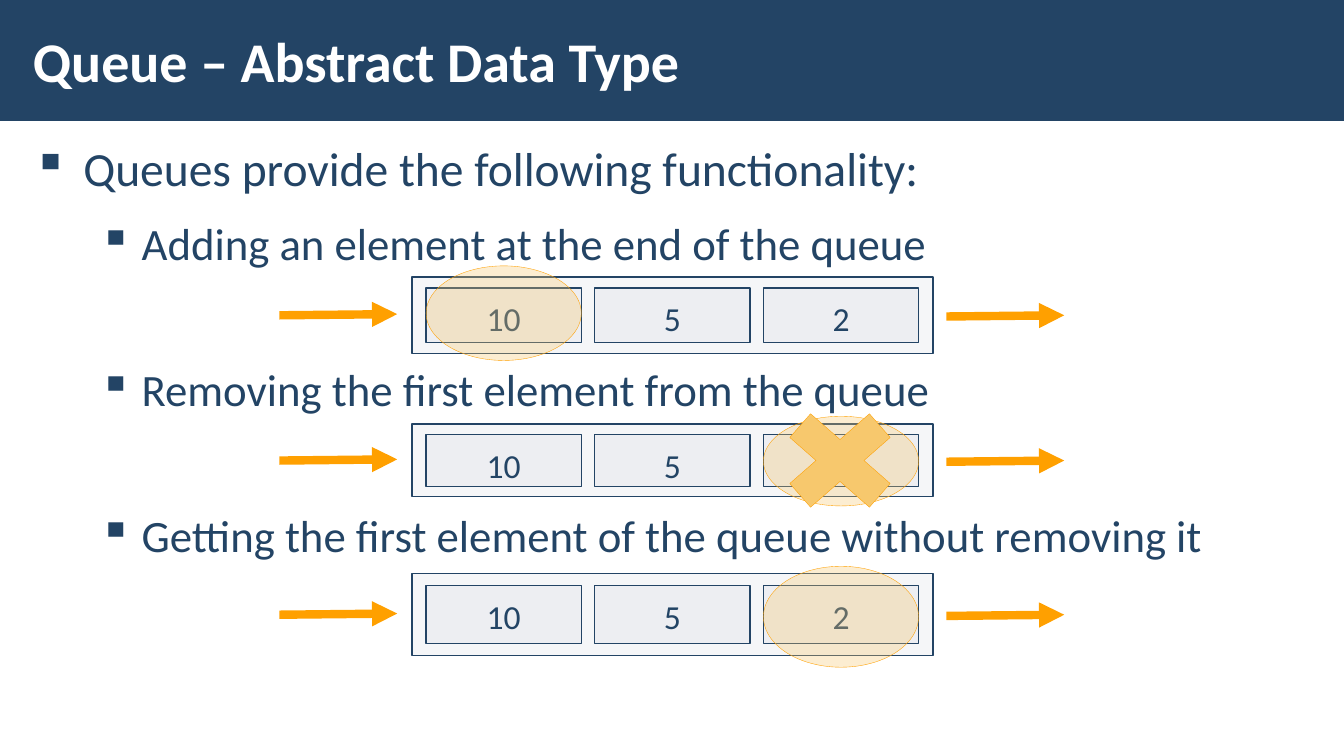
from dataclasses import dataclass
from typing import Optional

from lxml.etree import SubElement
from pptx import Presentation
from pptx.dml.color import RGBColor
from pptx.enum.shapes import MSO_CONNECTOR as Connector, MSO_SHAPE as Preset
from pptx.enum.text import MSO_ANCHOR as Anchor, PP_ALIGN as Align
from pptx.oxml.ns import qn
from pptx.util import Cm, Pt


@dataclass(frozen=True)
class Theme:
    font: str = "Calibri"
    navy: str = "234465"
    white: str = "FFFFFF"
    cell: str = "C2C7D2"
    amber: str = "FFA000"
    mark: str = "F7C86D"
    title_size: int = 40
    topic_size: int = 34
    point_size: int = 32
    cell_size: int = 24


@dataclass(frozen=True)
class Bullet:
    text: str
    size: int
    level: int
    margin: float
    hanging: float
    space_before: int


@dataclass(frozen=True)
class QueueRow:
    top: float
    height: float
    marked: int
    mark_top: float
    crossed: bool = False

    @property
    def middle(self) -> float:
        return self.top + self.height / 2


THEME = Theme()
WIDTH, HEIGHT = 33.87, 19.05
VALUES = ("10", "5", "2")
FRAME_LEFT, FRAME_WIDTH = 10.38, 13.13
CELL_LEFT, CELL_WIDTH, CELL_PITCH = 10.74, 3.91, 4.25
CELL_SHARE, MARK_SHARE = 0.71, 1.235
CROSS_WIDTH, CROSS_HEIGHT = 3.86, 3.38
ARROW_LENGTH, ARROW_RISE = 2.97, 0.03
ARROW_IN, ARROW_OUT = 7.04, 23.85

# The larger space before a point leaves room for the queue above it
BULLETS = (
    Bullet("Queues provide the following functionality:",
           THEME.topic_size, 0, 1.27, 1.27, 6),
    Bullet("Adding an element at the end of the queue",
           THEME.point_size, 1, 2.74, 1.07, 6),
    Bullet("Removing the first element from the queue",
           THEME.point_size, 1, 2.74, 1.07, 58),
    Bullet("Getting the first element of the queue without removing it",
           THEME.point_size, 1, 2.74, 1.07, 58),
)
QUEUES = (
    QueueRow(6.98, 1.93, marked=0, mark_top=6.70),
    QueueRow(10.69, 1.83, marked=2, mark_top=10.49, crossed=True),
    QueueRow(14.46, 2.06, marked=2, mark_top=14.27),
)


def set_all(target, values: dict) -> None:
    for name, value in values.items():
        setattr(target, name, value)


def add_run(paragraph, text: str, size: int, color: str, bold: bool = False) -> None:
    run = paragraph.add_run()
    run.text = text
    set_all(run.font, {"name": THEME.font, "size": Pt(size), "bold": bold})
    run.font.color.rgb = RGBColor.from_string(color)


def add_preset(shapes, preset, left: float, top: float, width: float, height: float,
               fill: str, line: Optional[str] = None, line_width: float = 1,
               opacity: int = 100):
    shape = shapes.add_shape(preset, Cm(left), Cm(top), Cm(width), Cm(height))
    shape.shadow.inherit = False
    shape.fill.solid()
    shape.fill.fore_color.rgb = RGBColor.from_string(fill)
    if opacity < 100:
        color = shape._element.spPr.find(qn("a:solidFill")).find(qn("a:srgbClr"))
        SubElement(color, qn("a:alpha"), val=str(opacity * 1000))
    if line is None:
        shape.line.fill.background()
    else:
        shape.line.color.rgb = RGBColor.from_string(line)
        shape.line.width = Pt(line_width)
    return shape


def add_text_frame(shapes, left: float, top: float, width: float, height: float, anchor):
    box = shapes.add_textbox(Cm(left), Cm(top), Cm(width), Cm(height))
    set_all(box.text_frame, {
        "word_wrap": True, "vertical_anchor": anchor,
        "margin_left": Cm(0.3), "margin_right": Cm(0.3),
        "margin_top": Cm(0.1), "margin_bottom": Cm(0.1),
    })
    return box.text_frame


def add_bullet(paragraph, bullet: Bullet) -> None:
    set_all(paragraph, {
        "level": bullet.level, "line_spacing": 1.05,
        "space_before": Pt(bullet.space_before), "space_after": Pt(6),
    })
    properties = paragraph._p.get_or_add_pPr()
    properties.set("marL", str(Cm(bullet.margin)))
    properties.set("indent", str(-Cm(bullet.hanging)))
    SubElement(properties, qn("a:buChar"), char="▪")
    add_run(paragraph, bullet.text, bullet.size, THEME.navy)


def add_arrow(shapes, left: float, start: float) -> None:
    arrow = shapes.add_connector(Connector.STRAIGHT, Cm(left), Cm(start),
                                 Cm(left + ARROW_LENGTH), Cm(start - ARROW_RISE))
    arrow.line.color.rgb = RGBColor.from_string(THEME.amber)
    arrow.line.width = Pt(6)
    SubElement(arrow.line._get_or_add_ln(), qn("a:tailEnd"), type="triangle")
    SubElement(arrow._element.spPr, qn("a:effectLst"))


def add_cell(shapes, left: float, row: QueueRow, value: str) -> None:
    height = row.height * CELL_SHARE
    cell = add_preset(shapes, Preset.RECTANGLE, left, row.middle - height / 2,
                      CELL_WIDTH, height, THEME.cell, THEME.navy, opacity=15)
    set_all(cell.text_frame, {
        "word_wrap": True, "vertical_anchor": Anchor.TOP,
        "margin_left": Cm(0.5), "margin_right": Cm(0.5),
        "margin_top": Cm(0.25), "margin_bottom": Cm(0.25),
    })
    paragraph = cell.text_frame.paragraphs[0]
    paragraph.alignment = Align.CENTER
    add_run(paragraph, value, THEME.cell_size, THEME.navy)


def add_queue(slide, row: QueueRow) -> None:
    shapes = slide.shapes.add_group_shape().shapes
    add_preset(shapes, Preset.RECTANGLE, FRAME_LEFT, row.top, FRAME_WIDTH, row.height,
               THEME.cell, THEME.navy, opacity=15)
    for index, value in enumerate(VALUES):
        add_cell(shapes, CELL_LEFT + index * CELL_PITCH, row, value)
    add_arrow(shapes, ARROW_IN, row.middle)
    add_arrow(shapes, ARROW_OUT, row.middle + ARROW_RISE)

    # Highlight of the element concerned
    mark_left = CELL_LEFT + row.marked * CELL_PITCH
    add_preset(shapes, Preset.OVAL, mark_left, row.mark_top, CELL_WIDTH,
               row.height * MARK_SHARE, THEME.mark, THEME.amber, 0.25, opacity=31)
    if row.crossed:
        add_preset(shapes, Preset.MATH_MULTIPLY, mark_left, row.middle - CROSS_HEIGHT / 2,
                   CROSS_WIDTH, CROSS_HEIGHT, THEME.mark, THEME.amber, 0.25)


def main() -> None:
    presentation = Presentation()
    set_all(presentation, {"slide_width": Cm(WIDTH), "slide_height": Cm(HEIGHT)})
    slide = presentation.slides.add_slide(presentation.slide_layouts[6])

    # Title band
    add_preset(slide.shapes, Preset.RECTANGLE, 0, 0, WIDTH, 3.05, THEME.navy)
    title = add_text_frame(slide.shapes, 0.53, 0.28, 26.42, 2.46, Anchor.MIDDLE)
    add_run(title.paragraphs[0], "Queue – Abstract Data Type",
            THEME.title_size, THEME.white, bold=True)

    # Bullet list
    body = add_text_frame(slide.shapes, 0.53, 3.33, 32.82, 14.45, Anchor.TOP)
    for index, bullet in enumerate(BULLETS):
        paragraph = body.add_paragraph() if index else body.paragraphs[0]
        add_bullet(paragraph, bullet)

    # Queue diagrams
    for row in QUEUES:
        add_queue(slide, row)

    presentation.save("out.pptx")


if __name__ == "__main__":
    main()
